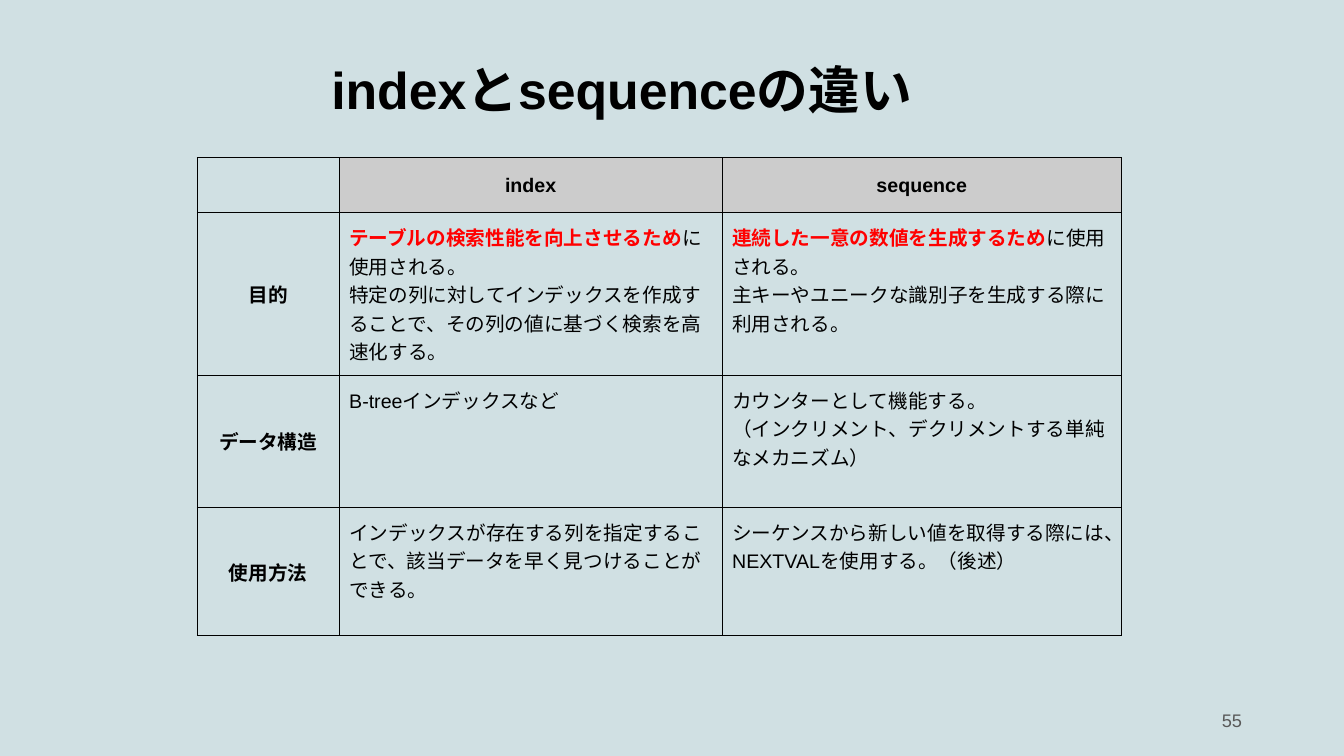
"""Build the slide that compares index and sequence in a table."""
from dataclasses import dataclass
from typing import Optional

from lxml.etree import SubElement
from pptx import Presentation
from pptx.dml.color import RGBColor
from pptx.enum.text import MSO_ANCHOR as Anchor, PP_ALIGN as Align
from pptx.oxml.ns import qn
from pptx.util import Cm, Pt


@dataclass(frozen=True)
class Theme:
    """Colours, font and type sizes of the slide."""
    font: str = "Arial"
    background: str = "D0E0E3"
    ink: str = "000000"
    accent: str = "FF0000"
    muted: str = "595959"
    header: str = "CCCCCC"
    title_size: float = 37
    body_size: float = 14
    number_size: float = 13
    border_width: float = 0.75


@dataclass(frozen=True)
class Entry:
    """Body cell text: a highlighted lead, its ending and more paragraphs."""
    text: str
    lead: str = ""
    more: tuple[str, ...] = ()


@dataclass(frozen=True)
class Topic:
    """Table row: heading, height in centimetres and two entries."""
    heading: str
    height: float
    index: Entry
    sequence: Entry


THEME = Theme()
COLUMN_WIDTHS = (3.58, 9.65, 10.06)
HEADER_HEIGHT = 1.38
HEADERS = ("index", "sequence")
TOPICS = (
    Topic("目的", 4.1,
          Entry("に使用される。", "テーブルの検索性能を向上させるため",
                ("特定の列に対してインデックスを作成することで、その列の値に基づく検索を高速化する。",)),
          Entry("に使用される。", "連続した一意の数値を生成するため",
                ("主キーやユニークな識別子を生成する際に利用される。",))),
    Topic("データ構造", 3.33,
          Entry("B-treeインデックスなど"),
          Entry("カウンターとして機能する。\n（インクリメント、デクリメントする単純なメカニズム）")),
    Topic("使用方法", 3.23,
          Entry("インデックスが存在する列を指定することで、該当データを早く見つけることができる。"),
          Entry("シーケンスから新しい値を取得する際には、NEXTVALを使用する。（後述）")),
)


def write(para, text: str, *, size: float = THEME.body_size, color: str = THEME.ink,
          bold: bool = False, align: Optional[Align] = None) -> None:
    """Append formatted text to a paragraph, with line breaks at newlines."""
    if align is not None:
        para.alignment = align
    for number, line in enumerate(text.split("\n")):
        if number:
            para.add_line_break()
        span = para.add_run()
        span.text = line
        span.font.name = THEME.font
        span.font.size = Pt(size)
        span.font.bold = bold
        span.font.color.rgb = RGBColor.from_string(color)


def add_label(page, text: str, left: float, top: float, width: float, height: float,
              *, spacing: Optional[float] = None, **style) -> None:
    """Add a vertically centred text box, placed in centimetres."""
    box = page.shapes.add_textbox(Cm(left), Cm(top), Cm(width), Cm(height))
    frame = box.text_frame
    frame.word_wrap = True
    frame.vertical_anchor = Anchor.MIDDLE
    para = frame.paragraphs[0]
    if spacing is not None:
        para.line_spacing = spacing
    write(para, text, **style)


def format_cell(cell) -> None:
    """Give a cell even margins, no fill and thin borders."""
    cell.margin_left = cell.margin_right = cell.margin_top = cell.margin_bottom = Cm(0.25)
    properties = cell._tc.get_or_add_tcPr()
    for side in ("a:lnL", "a:lnR", "a:lnT", "a:lnB"):
        line = SubElement(properties, qn(side), w=str(Pt(THEME.border_width)))
        fill = SubElement(line, qn("a:solidFill"))
        SubElement(fill, qn("a:srgbClr"), val=THEME.ink)
    cell.fill.background()


def write_heading(cell, text: str) -> None:
    """Write a bold heading in the middle of a cell."""
    cell.vertical_anchor = Anchor.MIDDLE
    write(cell.text_frame.paragraphs[0], text, bold=True, align=Align.CENTER)


def write_entry(cell, entry: Entry) -> None:
    """Write the paragraphs of a body cell."""
    frame = cell.text_frame
    para = frame.paragraphs[0]
    if entry.lead:
        write(para, entry.lead, color=THEME.accent, bold=True)
    write(para, entry.text)
    for text in entry.more:
        write(frame.add_paragraph(), text)


def add_comparison(page) -> None:
    """Add the comparison table."""
    heights = (HEADER_HEIGHT, *(topic.height for topic in TOPICS))
    table = page.shapes.add_table(
        len(heights), len(COLUMN_WIDTHS), Cm(4.97), Cm(3.98),
        Cm(sum(COLUMN_WIDTHS)), Cm(sum(heights))).table
    table.first_row = table.horz_banding = False
    for column, width in zip(table.columns, COLUMN_WIDTHS):
        column.width = Cm(width)
    for row, height in zip(table.rows, heights):
        row.height = Cm(height)
    for cell in table.iter_cells():
        format_cell(cell)
    for column, text in enumerate(HEADERS, 1):
        cell = table.cell(0, column)
        write_heading(cell, text)
        cell.fill.solid()
        cell.fill.fore_color.rgb = RGBColor.from_string(THEME.header)
    for row, topic in enumerate(TOPICS, 1):
        write_heading(table.cell(row, 0), topic.heading)
        for column, entry in enumerate((topic.index, topic.sequence), 1):
            write_entry(table.cell(row, column), entry)


def main() -> None:
    """Build and save the deck."""
    deck = Presentation()
    deck.slide_width, deck.slide_height = Cm(33.87), Cm(19.05)
    page = deck.slides.add_slide(deck.slide_layouts[6])
    page.background.fill.solid()
    page.background.fill.fore_color.rgb = RGBColor.from_string(THEME.background)
    add_label(page, "indexとsequenceの違い", 8.1, 0.53, 17.68, 3.61,
              spacing=0.9, size=THEME.title_size, bold=True)
    add_label(page, "55", 23.93, 17.65, 7.62, 1.02,
              size=THEME.number_size, color=THEME.muted, align=Align.RIGHT)
    add_comparison(page)
    deck.save("out.pptx")


if __name__ == "__main__":
    main()
